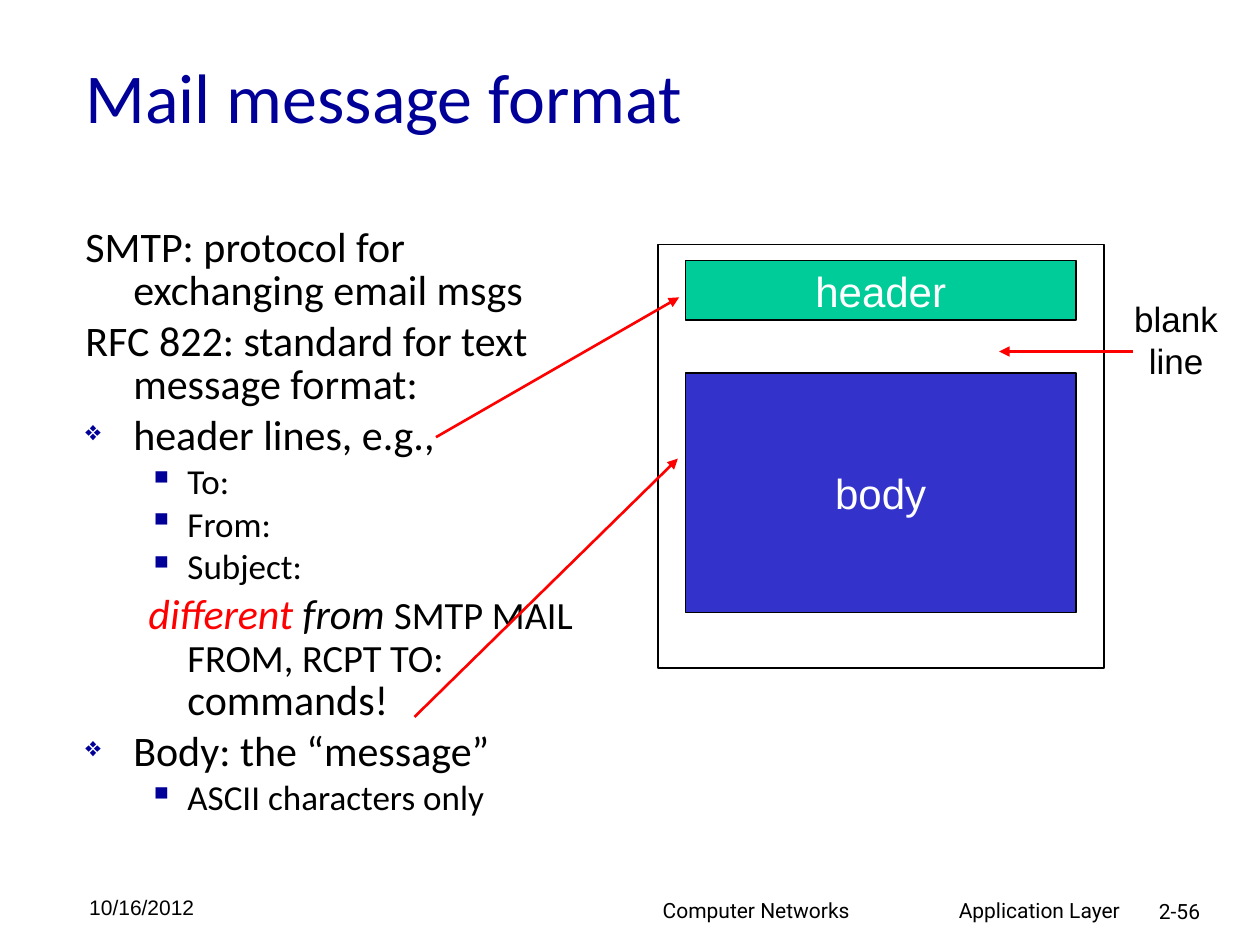
from lxml import etree
from pptx import Presentation, util as u
from pptx.dml.color import RGBColor
from pptx.enum import shapes, text
from pptx.oxml import ns

COLORS = {"navy": "000099", "black": "000000", "white": "FFFFFF", "red": "FF0000",
          "green": "00CC99", "blue": "3333CC"}
LEFT, CENTER = text.PP_ALIGN.LEFT, text.PP_ALIGN.CENTER
TOP, MIDDLE = text.MSO_ANCHOR.TOP, text.MSO_ANCHOR.MIDDLE


def add_run(paragraph, words, size, font, color, italic=False):
    run = paragraph.add_run()
    run.text = words
    for name, value in {"size": u.Pt(size), "name": font, "italic": italic}.items():
        setattr(run.font, name, value)
    run.font.color.rgb = RGBColor.from_string(COLORS[color])


def add_element(parent, tag, **attributes):
    return etree.SubElement(parent, ns.qn(tag), attributes)


presentation = Presentation()
presentation.slide_width = u.Inches(10)
presentation.slide_height = u.Inches(7.5)
slide = presentation.slides.add_slide(presentation.slide_layouts[5])

title = slide.shapes.title
for name, value in {"left": 0.58, "top": 0.13, "width": 8.5, "height": 1.25}.items():
    setattr(title, name, u.Inches(value))
for name, value in {"vertical_anchor": MIDDLE, "word_wrap": True,
                    "auto_size": text.MSO_AUTO_SIZE.NONE}.items():
    setattr(title.text_frame, name, value)
title_paragraph = title.text_frame.paragraphs[0]
title_paragraph.alignment = LEFT
add_run(title_paragraph, "Mail message format", 40, "Calibri", "navy")

outline = [
    (0, None, [("SMTP: protocol for exchanging email msgs", 24)]),
    (0, None, [("RFC 822: standard for text message format:", 24)]),
    (0, "❖", [("header lines, e.g.,", 24)]),
    (1, "▪", [("To:", 20)]),
    (1, "▪", [("From:", 20)]),
    (1, "▪", [("Subject:", 20)]),
    (1, None, [("different ", 24, "red", True), ("from ", 24, "black", True),
               ("SMTP MAIL FROM, RCPT TO:", 22), (" commands!", 24)]),
    (0, "❖", [("Body: the “message”", 24)]),
    (1, "▪", [("ASCII characters only", 20)]),
]
indents = [(0.38, -0.38), (0.81, -0.31)]
body = slide.shapes.add_textbox(*map(u.Inches, (0.58, 1.76, 4.17, 5.08))).text_frame
body.word_wrap = True
for index, (level, bullet, runs) in enumerate(outline):
    paragraph = body.add_paragraph() if index else body.paragraphs[0]
    paragraph.level = level
    paragraph.line_spacing = 0.85
    paragraph.space_before = u.Pt(0.2 * runs[0][1] if index else 0)
    properties = paragraph._p.get_or_add_pPr()
    for name, value in zip(("marL", "indent"), indents[level]):
        properties.set(name, str(u.Inches(value)))
    if bullet:
        bullet_color = add_element(properties, "a:buClr")
        add_element(bullet_color, "a:srgbClr", val=COLORS["navy"])
        add_element(properties, "a:buSzPct", val="65000" if level == 0 else "100000")
        add_element(properties, "a:buChar", char=bullet)
    else:
        add_element(properties, "a:buNone")
    for words, size, *style in runs:
        color, italic = style or ("black", False)
        add_run(paragraph, words, size, "Calibri", color, italic)

message_parts = [
    ("header", 5.44, 2.07, 3.1, 0.47, "green", 0.75),
    ("body", 5.44, 2.96, 3.1, 1.9, "blue", 0.75),
    (None, 5.22, 1.94, 3.54, 3.36, None, 1),
]
for label, left, top, width, height, fill, line_width in message_parts:
    shape = slide.shapes.add_shape(shapes.MSO_SHAPE.RECTANGLE,
                                   *map(u.Inches, (left, top, width, height)))
    shape.shadow.inherit = False
    shape.line.color.rgb = RGBColor.from_string(COLORS["black"])
    shape.line.width = u.Pt(line_width)
    if fill:
        shape.fill.solid()
        shape.fill.fore_color.rgb = RGBColor.from_string(COLORS[fill])
    else:
        shape.fill.background()
    if label:
        shape.text_frame.word_wrap = False
        shape.text_frame.vertical_anchor = MIDDLE
        paragraph = shape.text_frame.paragraphs[0]
        paragraph.alignment = CENTER
        add_run(paragraph, label, 24, "Arial", "white")

arrows = [(3.46, 3.47, 5.39, 2.36), (3.29, 5.69, 5.38, 3.64), (8.99, 2.79, 7.93, 2.79)]
for ends in arrows:
    arrow = slide.shapes.add_connector(shapes.MSO_CONNECTOR.STRAIGHT, *map(u.Inches, ends))
    arrow.line.color.rgb = RGBColor.from_string(COLORS["red"])
    arrow.line.width = u.Pt(1.5)
    add_element(arrow.line._get_or_add_ln(), "a:tailEnd", type="triangle")
    add_element(arrow._element.spPr, "a:effectLst")

labels = [
    (["blank", "line"], 8.9, 2.31, 0.87, 0.77, 20, "Arial", CENTER, False),
    (["Computer Networks\tApplication Layer"], 4.06, 7.07, 4.93, 0.31, 12, "Roboto", LEFT, True),
    (["2-56"], 9.1, 7.08, 0.74, 0.3, 12, "Roboto", LEFT, True),
    (["10/16/2012"], 0.61, 7.05, 2.08, 0.36, 12, "Arial", LEFT, True),
]
for lines, left, top, width, height, size, font, alignment, wrap in labels:
    box = slide.shapes.add_textbox(*map(u.Inches, (left, top, width, height)))
    box.text_frame.word_wrap = wrap
    box.text_frame.vertical_anchor = TOP
    for index, line in enumerate(lines):
        paragraph = box.text_frame.add_paragraph() if index else box.text_frame.paragraphs[0]
        paragraph.alignment = alignment
        if "\t" in line:
            box.text_frame.margin_left = u.Inches(1.2)
            tabs = add_element(paragraph._p.get_or_add_pPr(), "a:tabLst")
            add_element(tabs, "a:tab", pos=str(u.Inches(2.35)), algn="l")
        add_run(paragraph, line, size, font, "black")

presentation.save("out.pptx")
